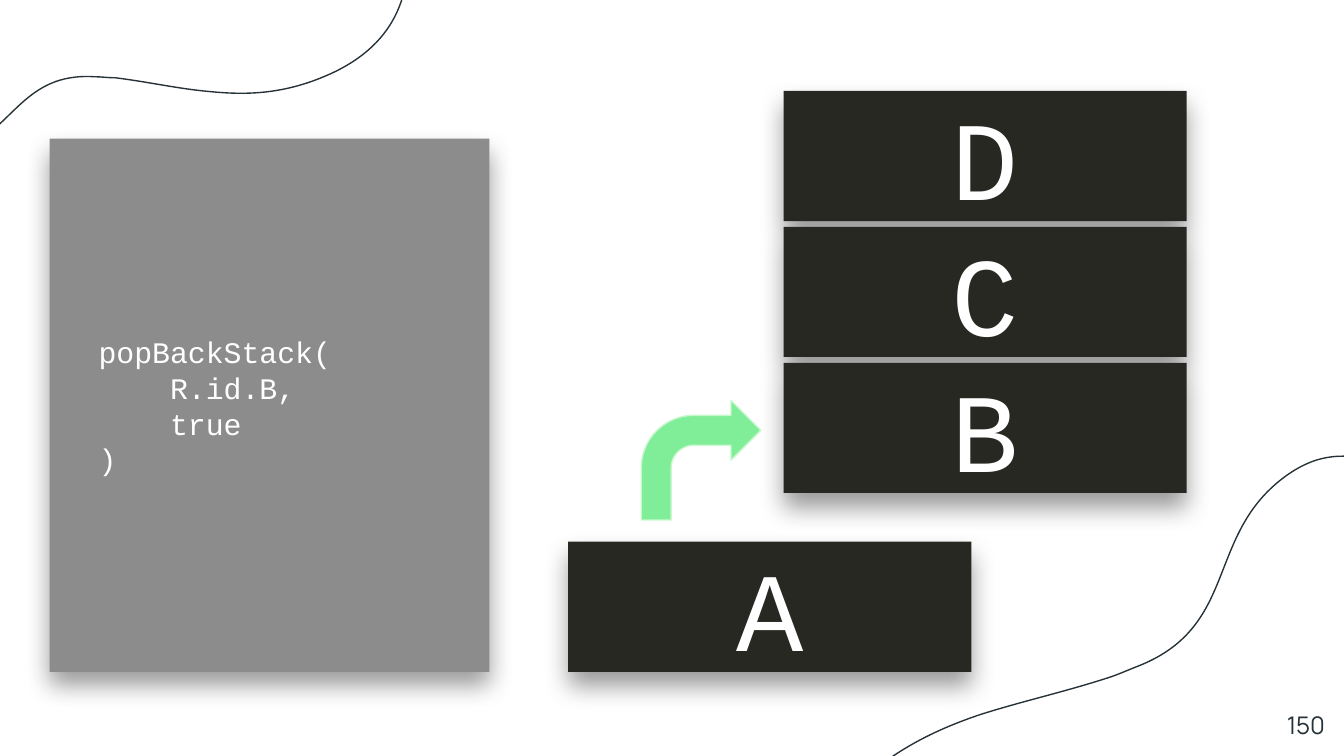
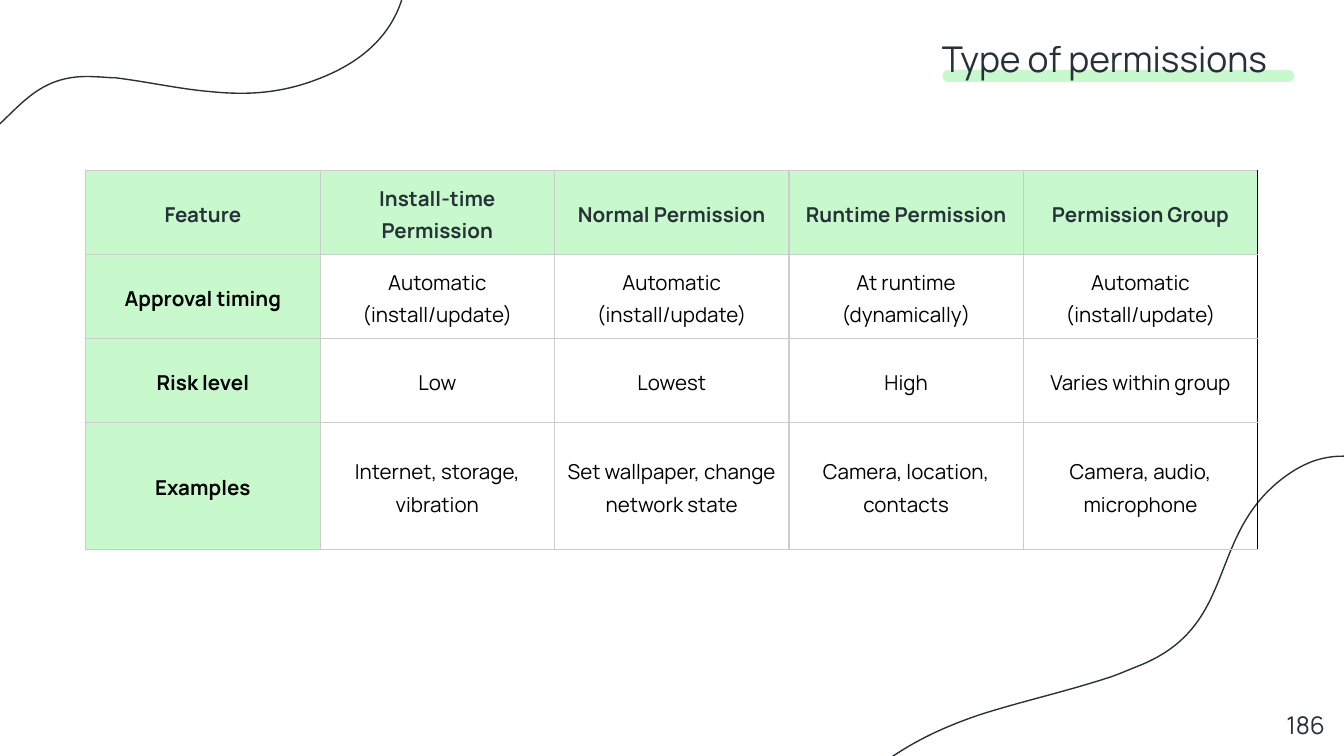
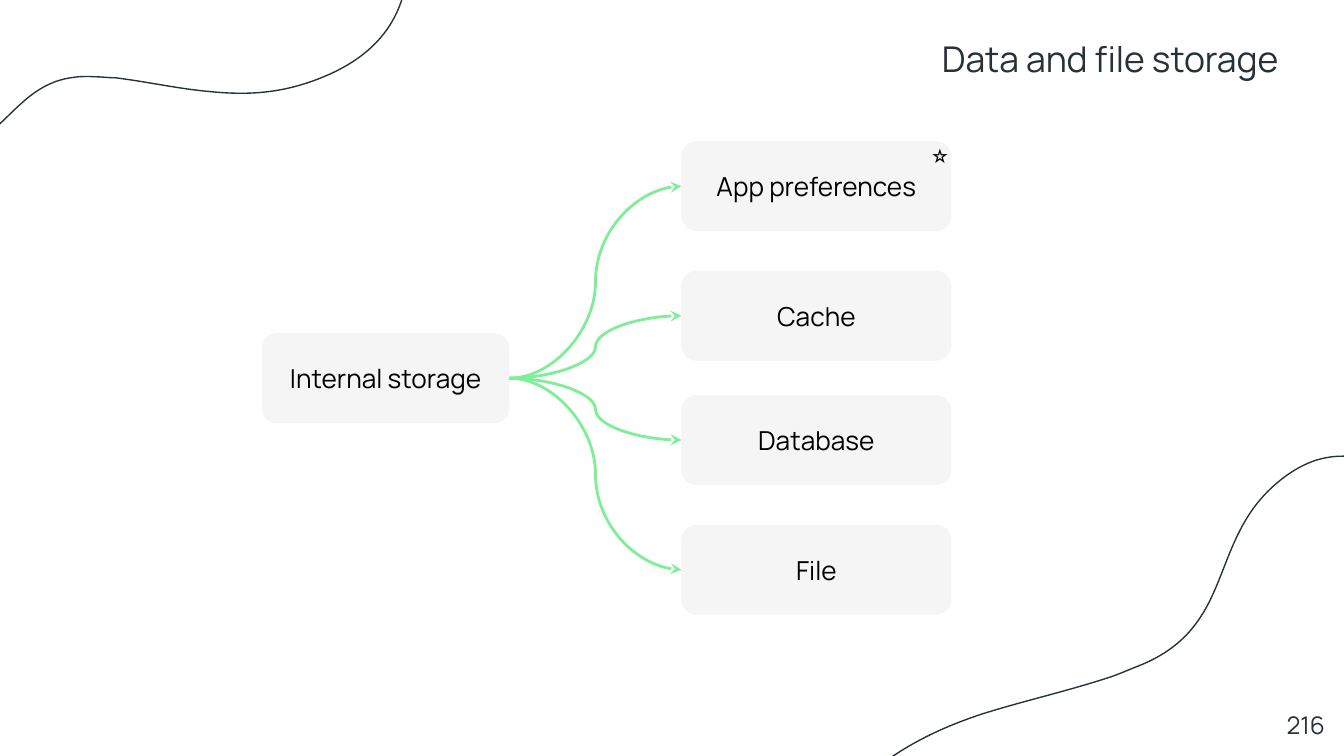
from lxml.etree import SubElement
from pptx import Presentation
from pptx.dml.color import RGBColor
from pptx.enum.shapes import MSO_CONNECTOR, MSO_SHAPE
from pptx.enum.text import MSO_ANCHOR, PP_ALIGN
from pptx.oxml.ns import qn
from pptx.util import Cm, Pt

COLORS = {
    "ink": "263238",
    "black": "000000",
    "white": "FFFFFF",
    "card": "272822",
    "code": "8C8C8C",
    "green": "80ED99",
    "mint": "C7F9CC",
    "node": "F5F5F5",
    "grid": "CCCCCC",
}
SANS, MONO = "Manrope", "Courier New"

# Outlines of the two corner waves in cm: a start, then three points per curve
LOWER_WAVE = [
    (24.84, 8.71),
    (24.56, 8.81), (24.26, 8.99), (23.95, 9.3),
    (22.86, 10.41), (23.27, 11.91), (21.49, 12.6),
    (21.31, 12.67), (21.13, 12.75), (20.98, 12.8),
    (20.12, 13.08), (19.3, 13.26), (18.52, 13.51),
    (17.6, 13.82), (16.74, 14.25), (15.9, 15.11),
    (14.53, 16.61), (14.63, 18.08), (15.49, 19.58),
    (16.97, 22.15), (19.76, 22.63), (22.48, 21.74),
    (23.65, 21.34), (24.79, 20.7), (25.83, 19.86),
    (29.08, 17.2), (29.72, 13.31), (27.79, 10.29),
    (27.2, 9.37), (26.06, 8.31), (24.84, 8.71),
]
UPPER_WAVE = [
    (-1.52, 3),
    (-1.32, 3.02), (-1.07, 2.97), (-0.79, 2.87),
    (0.25, 2.46), (0.43, 1.37), (1.78, 1.45),
    (1.91, 1.45), (2.03, 1.47), (2.18, 1.47),
    (2.82, 1.55), (3.38, 1.68), (3.96, 1.73),
    (4.65, 1.8), (5.33, 1.78), (6.12, 1.45),
    (7.47, 0.89), (7.82, -0.1), (7.7, -1.3),
    (7.49, -3.4), (5.82, -4.52), (3.81, -4.75),
    (2.92, -4.83), (2.01, -4.75), (1.09, -4.52),
    (-1.8, -3.73), (-3.33, -1.42), (-2.97, 1.09),
    (-2.84, 1.88), (-2.41, 2.9), (-1.52, 3),
]

PERMISSIONS = [
    ["Feature", "Install-time Permission", "Normal Permission",
     "Runtime Permission", "Permission Group"],
    ["Approval timing", "Automatic (install/update)", "Automatic (install/update)",
     "At runtime (dynamically)", "Automatic (install/update)"],
    ["Risk level", "Low", "Lowest", "High", "Varies within group"],
    ["Examples", "Internet, storage, vibration", "Set wallpaper, change network state",
     "Camera, location, contacts", "Camera, audio, microphone"],
]


def color(name):
    return RGBColor.from_string(COLORS[name])


def write(frame, lines, size, font, ink, align=PP_ALIGN.LEFT, bold=False, spacing=None):
    for index, line in enumerate(lines):
        paragraph = frame.add_paragraph() if index else frame.paragraphs[0]
        paragraph.alignment = align
        if spacing:
            paragraph.line_spacing = spacing
        run = paragraph.add_run()
        run.text = line
        run.font.size = Pt(size)
        run.font.name = font
        run.font.bold = bold
        run.font.color.rgb = color(ink)


def set_up_frame(frame, anchor):
    frame.word_wrap = True
    frame.vertical_anchor = anchor
    frame.margin_left = frame.margin_right = Cm(0.25)
    frame.margin_top = frame.margin_bottom = Cm(0.25)
    return frame


def add_text(slide, box, text, size, font, ink, align=PP_ALIGN.LEFT,
             anchor=MSO_ANCHOR.TOP, spacing=None):
    textbox = slide.shapes.add_textbox(*map(Cm, box))
    frame = set_up_frame(textbox.text_frame, anchor)
    write(frame, [text], size, font, ink, align, spacing=spacing)


def add_block(slide, kind, box, fill):
    shape = slide.shapes.add_shape(kind, *map(Cm, box))
    shape.shadow.inherit = False
    shape.fill.solid()
    shape.fill.fore_color.rgb = color(fill)
    shape.line.fill.background()
    set_up_frame(shape.text_frame, MSO_ANCHOR.MIDDLE)
    return shape


def add_solid_line(parent, ink):
    fill = SubElement(parent, qn("a:solidFill"))
    return SubElement(fill, qn("a:srgbClr"), val=COLORS[ink])


# Shared parts
def add_wave(slide, points):
    start, *rest = [(Cm(x), Cm(y)) for x, y in points]
    builder = slide.shapes.build_freeform(*start)
    builder.add_line_segments(rest, close=False)
    wave = builder.convert_to_shape()
    wave.shadow.inherit = False
    wave.fill.background()
    wave.line.color.rgb = color("ink")
    wave.line.width = Pt(0.75)
    # Turn each three straight segments into one Bézier curve
    outline = wave._element.xpath(".//a:path")[0]
    segments = outline.findall(qn("a:lnTo"))
    for first in range(0, len(segments), 3):
        curve = SubElement(outline, qn("a:cubicBezTo"))
        for segment in segments[first:first + 3]:
            curve.append(segment[0])
            outline.remove(segment)


def add_base_slide(presentation, number):
    slide = presentation.slides.add_slide(presentation.slide_layouts[6])
    add_wave(slide, LOWER_WAVE)
    add_wave(slide, UPPER_WAVE)
    add_text(slide, (23.77, 13.18, 1.52, 1.09), number, 13, SANS, "ink", PP_ALIGN.RIGHT)
    return slide


def add_title(slide, title):
    add_text(slide, (17.55, 0.46, 7.85, 1.32), title, 19, SANS, "ink")


# Back stack
def add_shadowed_card(slide, box, fill, lines, size, align):
    card = add_block(slide, MSO_SHAPE.RECTANGLE, box, fill)
    effects = card._element.spPr.find(qn("a:effectLst"))
    shadow = SubElement(effects, qn("a:outerShdw"), blurRad=str(Pt(13.5)),
                        dist=str(Pt(7.5)), dir="5400000", algn="bl", rotWithShape="0")
    tone = SubElement(shadow, qn("a:srgbClr"), val=COLORS["black"])
    SubElement(tone, qn("a:alpha"), val="40000")
    write(card.text_frame, lines, size, MONO, "white", align)


def add_stack(slide, left, top, letters, pitch=2.57):
    for index, letter in enumerate(letters):
        box = (left, top + index * pitch, 7.62, 2.46)
        add_shadowed_card(slide, box, "card", [letter], 60, PP_ALIGN.CENTER)


def build_back_stack(presentation):
    slide = add_base_slide(presentation, "150")
    add_stack(slide, 14.81, 1.72, "DCB")
    add_stack(slide, 10.74, 10.24, "A")
    code = ["  popBackStack(", "      R.id.B,", "      true", "  )"]
    add_shadowed_card(slide, (0.94, 2.62, 8.31, 10.08), "code", code, 16, PP_ALIGN.LEFT)
    arrow = add_block(slide, MSO_SHAPE.BENT_ARROW, (12.12, 7.57, 2.26, 2.26), "green")
    arrow.adjustments[3] = 0.44
    arrow.line.color.rgb = color("mint")
    arrow.line.width = Pt(0.75)


# Permissions
def set_borders(cell, right):
    properties = cell._tc.get_or_add_tcPr()
    sides = {"a:lnL": "grid", "a:lnR": right, "a:lnT": "grid", "a:lnB": "grid"}
    for side, ink in sides.items():
        add_solid_line(SubElement(properties, qn(side), w=str(Pt(0.75))), ink)


def add_permission_table(slide, left, top, column_width, row_heights):
    rows, columns = len(PERMISSIONS), len(PERMISSIONS[0])
    frame = slide.shapes.add_table(rows, columns, Cm(left), Cm(top),
                                   Cm(column_width * columns), Cm(sum(row_heights)))
    table = frame.table
    table.first_row = table.horz_banding = False
    for column in table.columns:
        column.width = Cm(column_width)
    for row, height in enumerate(row_heights):
        table.rows[row].height = Cm(height)
        for column in range(columns):
            cell = table.cell(row, column)
            is_header, is_last = row == 0 or column == 0, column == columns - 1
            cell.vertical_anchor = MSO_ANCHOR.MIDDLE
            cell.margin_left = cell.margin_right = Cm(0.25 if is_last else 0.08)
            cell.margin_top = cell.margin_bottom = Cm(0.05)
            set_borders(cell, "black" if is_last else "grid")
            if is_header:
                cell.fill.solid()
                cell.fill.fore_color.rgb = color("mint")
            else:
                cell.fill.background()
            write(cell.text_frame, [PERMISSIONS[row][column]], 11, SANS,
                  "black" if row else "ink", PP_ALIGN.CENTER, is_header, 1.15)


def build_permissions(presentation):
    slide = add_base_slide(presentation, "186")
    underline = add_block(slide, MSO_SHAPE.ROUNDED_RECTANGLE, (17.81, 1.32, 6.65, 0.23), "mint")
    underline.adjustments[0] = 0.5
    add_title(slide, "Type of permissions")
    add_permission_table(slide, 1.62, 3.22, 4.43, [1.59, 1.59, 1.59, 2.39])


# Storage
def add_node(slide, left, top, width, label):
    node = add_block(slide, MSO_SHAPE.ROUNDED_RECTANGLE, (left, top, width, 1.7), "node")
    write(node.text_frame, [label], 14, SANS, "black", PP_ALIGN.CENTER)
    return node


def connect(slide, source, target):
    connector = slide.shapes.add_connector(MSO_CONNECTOR.CURVE, 0, 0, 0, 0)
    connector.begin_connect(source, 3)
    connector.end_connect(target, 1)
    connector.line.color.rgb = color("green")
    connector.line.width = Pt(1.5)
    SubElement(connector.line._get_or_add_ln(), qn("a:tailEnd"), type="stealth")
    SubElement(connector._element.spPr, qn("a:effectLst"))


def build_storage(presentation):
    slide = add_base_slide(presentation, "216")
    add_title(slide, "Data and file storage")
    storage = add_node(slide, 4.95, 6.3, 4.68, "Internal storage")
    kinds = {"App preferences": 2.67, "Cache": 5.12, "Database": 7.47, "File": 9.92}
    for label, top in kinds.items():
        connect(slide, storage, add_node(slide, 12.88, top, 5.1, label))
    add_text(slide, (17.35, 2.21, 1.93, 1.32), "⭐️", 14, "Arial", "black",
             anchor=MSO_ANCHOR.MIDDLE, spacing=1.15)


def main():
    presentation = Presentation()
    presentation.slide_width = Cm(25.4)
    presentation.slide_height = Cm(14.29)
    build_back_stack(presentation)
    build_permissions(presentation)
    build_storage(presentation)
    presentation.save("out.pptx")


if __name__ == "__main__":
    main()
